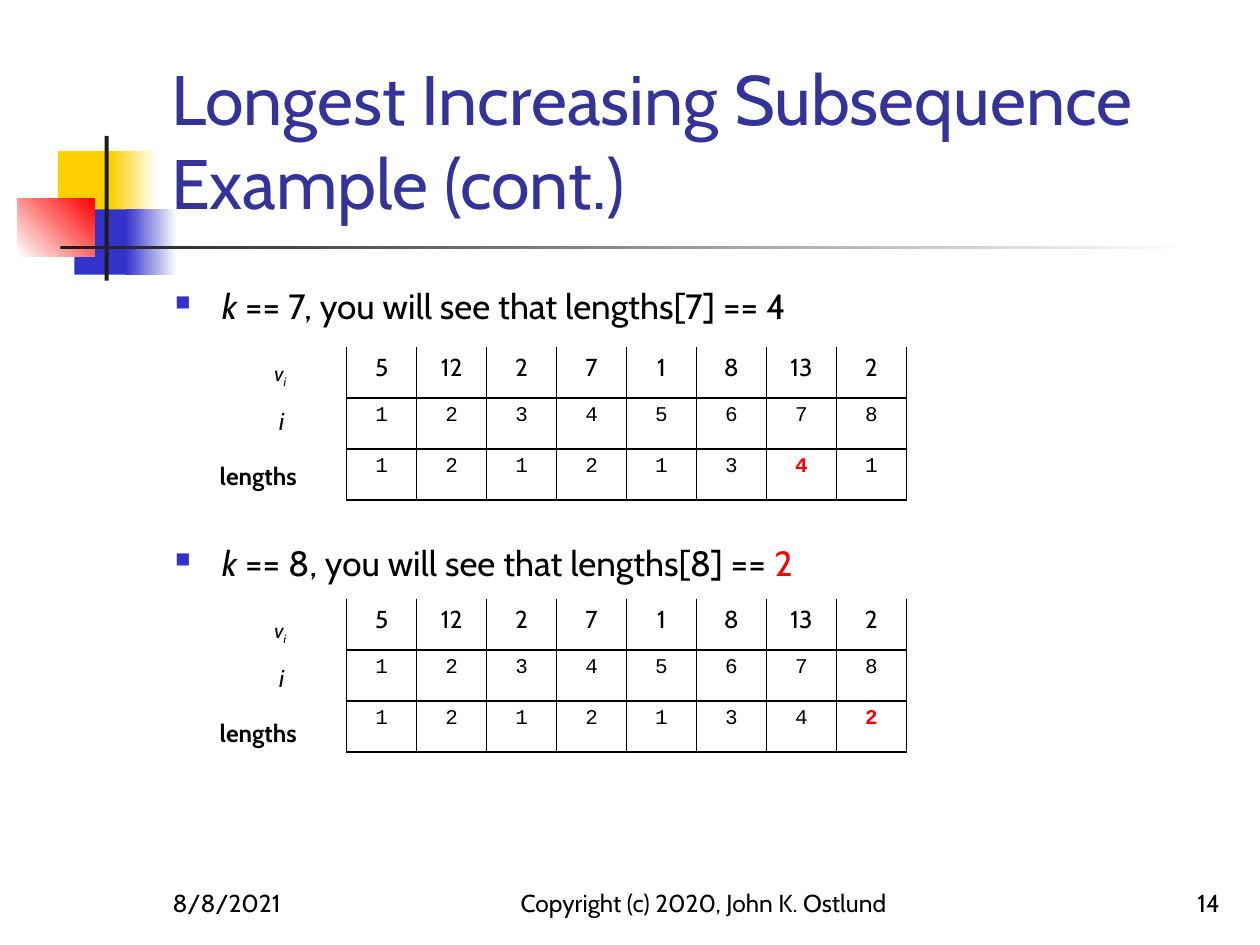
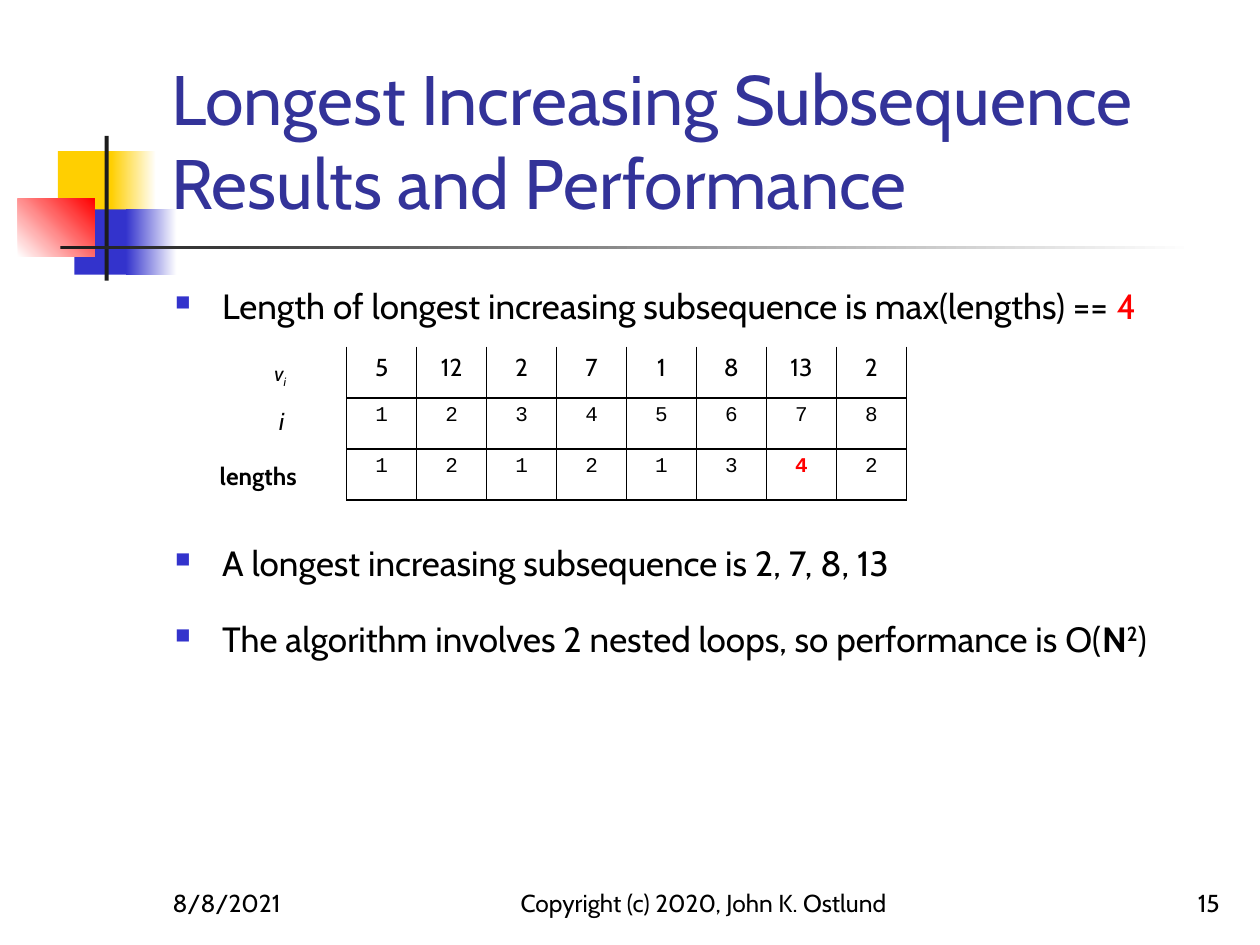
from lxml import etree
from pptx import Presentation
from pptx import util as u
from pptx.dml.color import RGBColor
from pptx.enum import shapes, text
from pptx.oxml.ns import qn

Cm, Pt = u.Cm, u.Pt
Align, Anchor = text.PP_ALIGN, text.MSO_ANCHOR

COLORS = {"title": "333399", "ink": "000000", "accent": "FF0000", "yellow": "FFCF01",
          "blue": "3333CC", "red": "FF0000", "bar": "1C1C1C", "white": "FFFFFF"}
BODY_FONT, CODE_FONT = "Cabin", "Courier New"

# left, top, width, height, colours from start to end, gradient angle
DECORATION = [
    (1.17, 3.05, 1.22, 1.32, ["yellow"], 0),
    (2.24, 3.05, 0.91, 1.32, ["yellow", "white"], 0),
    (1.5, 4.22, 1.17, 1.32, ["blue"], 0),
    (2.54, 4.22, 1.02, 1.32, ["blue", "white"], 0),
    (0.36, 4.01, 1.55, 1.17, ["white", "red"], 45),
    (2.11, 2.74, 0.08, 2.92, ["bar"], 0),
    (1.22, 4.95, 22.86, 0.08, ["bar", "white"], 0),
]
DATE, COPYRIGHT, FIRST_NUMBER = "8/8/2021", "Copyright (c) 2020, John K. Ostlund", 14

VALUES = [5, 12, 2, 7, 1, 8, 13, 2]
ITALIC, BOLD, ACCENT = {"italic": True}, {"bold": True}, {"color": "accent"}

# Row labels: indent in cm, text size, size of the gap above, runs
ROW_LABELS = [
    (2.0, 12, 16, [("v", ITALIC), ("i", {"italic": True, "baseline": -25})]),
    (2.1, 14, 8, [("i", ITALIC)]),
    (0.9, 14, 12, [("lengths", BOLD)]),
]

SLIDES = [
    {"title": "Longest Increasing Subsequence Example (cont.)",
     "points": [
         {"runs": [("k", ITALIC), (" == 7, you will see that lengths[7] == 4", {})],
          "lengths": [1, 2, 1, 2, 1, 3, 4, 1], "marked": 7},
         {"runs": [("k", ITALIC), (" == 8, you will see that lengths[8] == ", {}), ("2", ACCENT)],
          "lengths": [1, 2, 1, 2, 1, 3, 4, 2], "marked": 8},
     ]},
    {"title": "Longest Increasing Subsequence Results and Performance",
     "points": [
         {"runs": [("Length of longest increasing subsequence is max(lengths) == ", {}),
                   ("4", ACCENT)],
          "lengths": [1, 2, 1, 2, 1, 3, 4, 2], "marked": 7},
         {"runs": [("A longest increasing subsequence is 2, 7, 8, 13", {})]},
         {"runs": [("The algorithm involves 2 nested loops, so performance is O(", {}),
                   ("N", BOLD), ("2", {"bold": True, "baseline": 30}), (")", {})]},
     ]},
]

LINE_HEIGHT = 1.215  # of the text size
TABLE_LEFT, TABLE_TOP, TABLE_STEP = 6.99, 6.99, 5.08
CELL_WIDTH, CELL_HEIGHT = 1.41, 1.03


def rgb(name):
    return RGBColor.from_string(COLORS[name])


def write(paragraph, words, size=14, color="ink", font=BODY_FONT, bold=False, italic=False,
          baseline=0, align=None):
    run = paragraph.add_run()
    run.text = words
    run.font.size, run.font.name = Pt(size), font
    run.font.bold, run.font.italic = bold, italic
    run.font.color.rgb = rgb(color)
    if baseline:
        run.font._element.set("baseline", str(baseline * 1000))
    if align is not None:
        paragraph.alignment = align


def add_frame(slide, left, top, width, height, anchor=Anchor.TOP):
    frame = slide.shapes.add_textbox(Cm(left), Cm(top), Cm(width), Cm(height)).text_frame
    frame.word_wrap = True
    frame.vertical_anchor = anchor
    return frame


def add_decoration(slide):
    for left, top, width, height, colors, angle in DECORATION:
        block = slide.shapes.add_shape(shapes.MSO_SHAPE.RECTANGLE,
                                       Cm(left), Cm(top), Cm(width), Cm(height))
        block.shadow.inherit = False
        block.line.fill.background()
        if len(colors) == 1:
            block.fill.solid()
            block.fill.fore_color.rgb = rgb(colors[0])
            continue
        block.fill.gradient()
        block.fill.gradient_angle = angle
        for stop, color in zip(block.fill.gradient_stops, colors):
            stop.color.rgb = rgb(color)


def add_footer(slide, number):
    for left, width, words, align in [(3.23, 5.28, DATE, Align.LEFT),
                                      (10.16, 8.05, COPYRIGHT, Align.CENTER),
                                      (19.56, 5.28, str(number), Align.RIGHT)]:
        frame = add_frame(slide, left, 17.35, width, 1.27, Anchor.BOTTOM)
        write(frame.paragraphs[0], words, align=align)


def set_indent(paragraph, left, first=0):
    properties = paragraph._p.get_or_add_pPr()
    properties.set("marL", str(Cm(left)))
    properties.set("indent", str(Cm(first)))
    return properties


def add_bullet(paragraph):
    properties = set_indent(paragraph, 0.95, -0.95)
    color = etree.SubElement(properties, qn("a:buClr"))
    etree.SubElement(color, qn("a:srgbClr"), val=COLORS["blue"])
    etree.SubElement(properties, qn("a:buSzPct"), val="60000")
    etree.SubElement(properties, qn("a:buChar"), char="■")


def set_borders(cell, sides):
    """Draw a 1 pt line on the given sides (of "LRTB") and none on the others."""
    properties = cell._tc.get_or_add_tcPr()
    for place, side in enumerate("LRTB"):
        line = etree.Element(qn("a:ln" + side), w=str(Pt(1)))
        if side in sides:
            fill = etree.SubElement(line, qn("a:solidFill"))
            etree.SubElement(fill, qn("a:srgbClr"), val=COLORS["ink"])
        else:
            etree.SubElement(line, qn("a:noFill"))
        properties.insert(place, line)


def add_grid(slide, top, rows, sides, marked=None, **style):
    """Add a table; marked is the (row, column) of the cell to highlight."""
    columns = len(rows[0])
    grid = slide.shapes.add_table(len(rows), columns, Cm(TABLE_LEFT), Cm(top),
                                  Cm(CELL_WIDTH * columns), Cm(CELL_HEIGHT * len(rows))).table
    grid.first_row = grid.horz_banding = False
    for r, row in enumerate(rows):
        for c, value in enumerate(row):
            cell = grid.cell(r, c)
            cell.fill.background()
            set_borders(cell, sides)
            emphasis = {"color": "accent", "bold": True} if (r, c) == marked else {}
            write(cell.text_frame.paragraphs[0], str(value), align=Align.CENTER,
                  **style, **emphasis)


def add_sequence(slide, top, lengths, marked):
    indices = list(range(1, len(VALUES) + 1))
    add_grid(slide, top + CELL_HEIGHT, [indices, lengths], "LRTB", (1, marked - 1),
             size=12, font=CODE_FONT)
    add_grid(slide, top, [VALUES], "LR")


def add_points(slide, points):
    frame = add_frame(slide, 3.28, 5.61, 21.59, 11.43)

    def add_line(runs, size, gap):
        paragraph = frame.add_paragraph() if gap else frame.paragraphs[0]
        if gap:
            paragraph.space_before = Pt(round(gap * LINE_HEIGHT, 1))
        for words, style in runs:
            write(paragraph, words, size=size, **style)
        return paragraph

    gap = 0
    for slot, point in enumerate(points):
        add_bullet(add_line(point["runs"], 20, gap))
        gap = 16
        if "lengths" in point:
            for indent, size, label_gap, runs in ROW_LABELS:
                set_indent(add_line(runs, size, label_gap), indent)
            add_sequence(slide, TABLE_TOP + slot * TABLE_STEP, point["lengths"], point["marked"])
            gap = 24


def main():
    deck = Presentation()
    deck.slide_width, deck.slide_height = Cm(25.4), Cm(19.05)
    for number, content in enumerate(SLIDES, FIRST_NUMBER):
        slide = deck.slides.add_slide(deck.slide_layouts[6])
        add_decoration(slide)
        heading = add_frame(slide, 3.2, 0.58, 21.64, 4.06, Anchor.BOTTOM)
        write(heading.paragraphs[0], content["title"], size=40, color="title")
        add_points(slide, content["points"])
        add_footer(slide, number)
    deck.save("out.pptx")


if __name__ == "__main__":
    main()
